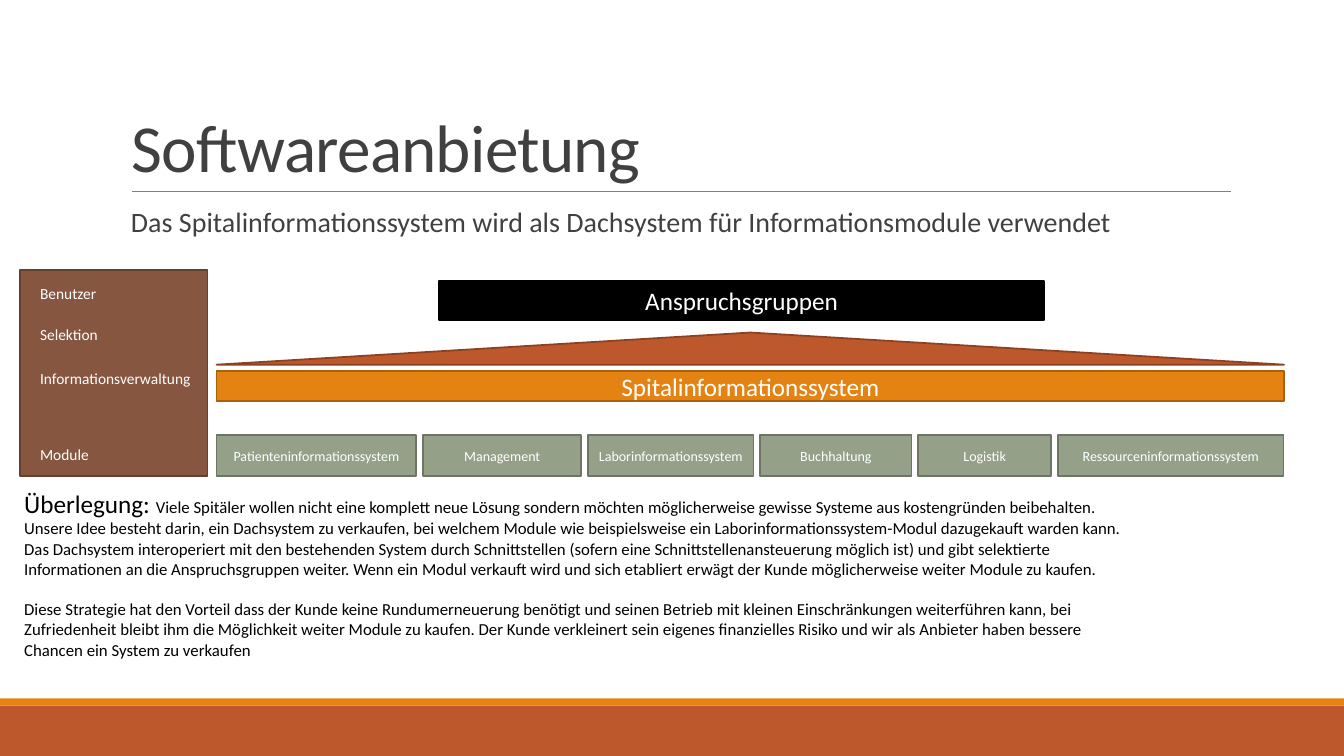
from lxml import etree
from pptx import Presentation
from pptx.dml.color import RGBColor
from pptx.enum.shapes import MSO_CONNECTOR, MSO_SHAPE
from pptx.enum.text import MSO_ANCHOR, MSO_AUTO_SIZE, PP_ALIGN
from pptx.oxml.ns import qn
from pptx.util import Cm, Pt

RECTANGLE = MSO_SHAPE.RECTANGLE
TRIANGLE = MSO_SHAPE.ISOSCELES_TRIANGLE
STRAIGHT = MSO_CONNECTOR.STRAIGHT
TOP, MIDDLE, BOTTOM = MSO_ANCHOR.TOP, MSO_ANCHOR.MIDDLE, MSO_ANCHOR.BOTTOM
LEFT, CENTER = PP_ALIGN.LEFT, PP_ALIGN.CENTER
FIT_SHAPE, NO_FIT = MSO_AUTO_SIZE.SHAPE_TO_FIT_TEXT, MSO_AUTO_SIZE.NONE

FONT = "Calibri"
WHITE = RGBColor(0xFF, 0xFF, 0xFF)
BLACK = RGBColor(0x00, 0x00, 0x00)
DARK_GREY = RGBColor(0x40, 0x40, 0x40)
RULE_GREY = RGBColor(0x80, 0x80, 0x80)
RUST = RGBColor(0xBD, 0x58, 0x2C)
RUST_EDGE = RGBColor(0x8C, 0x41, 0x21)
ORANGE = RGBColor(0xE4, 0x83, 0x12)
ORANGE_EDGE = RGBColor(0xA9, 0x61, 0x0D)
BROWN = RGBColor(0x86, 0x56, 0x40)
BROWN_EDGE = RGBColor(0x63, 0x40, 0x2F)
SAGE = RGBColor(0x94, 0xA0, 0x88)
SAGE_EDGE = RGBColor(0x6D, 0x76, 0x65)

PAGE_WIDTH, PAGE_HEIGHT = 33.87, 19.05

# Label and its distance from the top of the sidebar
LAYERS = [("Benutzer", 0.23), ("Selektion", 1.27),
          ("Informationsverwaltung", 2.36), ("Module", 4.29)]
# Label and width
MODULES = [("Patienteninformationssystem", 5.03), ("Management", 3.99),
           ("Laborinformationssystem", 4.17), ("Buchhaltung", 3.81),
           ("Logistik", 3.35), ("Ressourceninformationssystem", 5.69)]
MODULE_GAP = 0.17

REASONING = (
    "Viele Spitäler wollen nicht eine komplett neue Lösung sondern möchten "
    "möglicherweise gewisse Systeme aus kostengründen beibehalten. Unsere Idee "
    "besteht darin, ein Dachsystem zu verkaufen, bei welchem Module wie "
    "beispielsweise ein Laborinformationssystem-Modul dazugekauft warden kann. "
    "Das Dachsystem interoperiert mit den bestehenden System durch Schnittstellen "
    "(sofern eine Schnittstellenansteuerung möglich ist) und gibt selektierte "
    "Informationen an die Anspruchsgruppen weiter. Wenn ein Modul verkauft wird "
    "und sich etabliert erwägt der Kunde möglicherweise weiter Module zu kaufen.")
ADVANTAGE = (
    "Diese Strategie hat den Vorteil dass der Kunde keine Rundumerneuerung "
    "benötigt und seinen Betrieb mit kleinen Einschränkungen weiterführen kann, "
    "bei Zufriedenheit bleibt ihm die Möglichkeit weiter Module zu kaufen. Der "
    "Kunde verkleinert sein eigenes finanzielles Risiko und wir als Anbieter "
    "haben bessere Chancen ein System zu verkaufen")


def add_span(para, text, size, color=BLACK):
    span = para.add_run()
    span.text = text
    span.font.name = FONT
    span.font.size = Pt(size)
    span.font.color.rgb = color
    return span


def write(shape, text, size, color=WHITE, align=LEFT, anchor=TOP, fit=NO_FIT):
    """Put one formatted paragraph in the shape and return it."""
    frame = shape.text_frame
    frame.word_wrap = True
    frame.auto_size = fit
    frame.vertical_anchor = anchor
    para = frame.paragraphs[0]
    para.alignment = align
    add_span(para, text, size, color)
    return para


def add_block(page, box, fill, edge=None, kind=RECTANGLE):
    block = page.shapes.add_shape(kind, *map(Cm, box))
    block.shadow.inherit = False
    block.fill.solid()
    block.fill.fore_color.rgb = fill
    if edge is None:
        block.line.fill.background()
    else:
        block.line.color.rgb = edge
        block.line.width = Pt(1.25)
    return block


def add_label_block(page, box, text, size, fill, edge):
    block = add_block(page, box, fill, edge)
    write(block, text, size, align=CENTER, anchor=MIDDLE)


def place(shape, box):
    shape.left, shape.top, shape.width, shape.height = map(Cm, box)


def add_footer_bands(page, box):
    left, top, width, height = box
    stripe = 0.18
    add_block(page, (left, top + stripe, width, height - stripe), RUST)
    add_block(page, (left, top, width, stripe), ORANGE)


def add_heading(page, box):
    """Title, the rule below it and the lead sentence."""
    left, top, width, height = box
    title_height, lead_height = 4.04, 1.68
    title = page.shapes.title
    place(title, (left, top, width, title_height))
    para = write(title, "Softwareanbietung", 48, DARK_GREY, anchor=BOTTOM)
    para.line_spacing = 0.85
    para.runs[0].font._element.set("spc", "-50")

    rule_left, rule_y = Cm(left + 0.28), Cm(top + title_height)
    rule = page.shapes.add_connector(
        STRAIGHT, rule_left, rule_y, rule_left + Cm(27.69), rule_y)
    rule.line.color.rgb = RULE_GREY
    rule.line.width = Pt(0.5)
    etree.SubElement(rule._element.spPr, qn("a:effectLst"))

    lead = page.placeholders[1]
    place(lead, (left, top + height - lead_height, width, lead_height))
    para = write(lead, "Das Spitalinformationssystem wird als Dachsystem für "
                 "Informationsmodule verwendet", 20, DARK_GREY)
    lead.text_frame.margin_left = lead.text_frame.margin_right = 0
    para.line_spacing = 0.9
    para.space_before, para.space_after = Pt(12), Pt(2)
    properties = para._element.get_or_add_pPr()
    indent = Cm(0.25)
    properties.set("marL", str(indent))
    properties.set("indent", str(-indent))
    etree.SubElement(properties, qn("a:buChar"), char=" ")


def add_sidebar(page, box):
    left, top, width, height = box
    add_block(page, box, BROWN, BROWN_EDGE)
    inset = 0.25
    for text, offset in LAYERS:
        label = page.shapes.add_textbox(
            *map(Cm, (left + inset, top + offset, width - inset, 0.74)))
        write(label, text, 11, fit=FIT_SHAPE)


def add_architecture(page, box):
    """Stakeholders, roof, roof system and the row of modules."""
    left, top, width, height = box
    add_label_block(page, (left + 5.61, top, 15.24, 0.97),
                    "Anspruchsgruppen", 18, BLACK, BLACK)
    add_block(page, (left, top + 1.29, width, 0.81), RUST, RUST_EDGE, TRIANGLE)
    add_label_block(page, (left, top + 2.26, width, 0.76),
                    "Spitalinformationssystem", 18, ORANGE, ORANGE_EDGE)
    row_height = 1.02
    for text, module_width in MODULES:
        module_box = (left, top + height - row_height, module_width, row_height)
        add_label_block(page, module_box, text, 10, SAGE, SAGE_EDGE)
        left += module_width + MODULE_GAP


def add_reasoning(page, box):
    note = page.shapes.add_textbox(*map(Cm, box))
    para = write(note, "Überlegung: ", 18, BLACK, fit=FIT_SHAPE)
    add_span(para, REASONING, 12)
    para = note.text_frame.add_paragraph()
    para.space_before = Pt(14.6)
    add_span(para, ADVANTAGE, 12)


def main():
    deck = Presentation()
    deck.slide_width, deck.slide_height = Cm(PAGE_WIDTH), Cm(PAGE_HEIGHT)
    page = deck.slides.add_slide(deck.slide_layouts[1])
    add_footer_bands(page, (0, 17.6, PAGE_WIDTH, 1.45))
    add_heading(page, (3.05, 0.79, 27.94, 6.02))
    add_sidebar(page, (0.51, 6.81, 4.72, 5.18))
    add_architecture(page, (5.46, 7.09, 26.9, 4.9))
    add_reasoning(page, (0.36, 12.17, 28.63, 4.62))
    deck.save("out.pptx")


if __name__ == "__main__":
    main()
